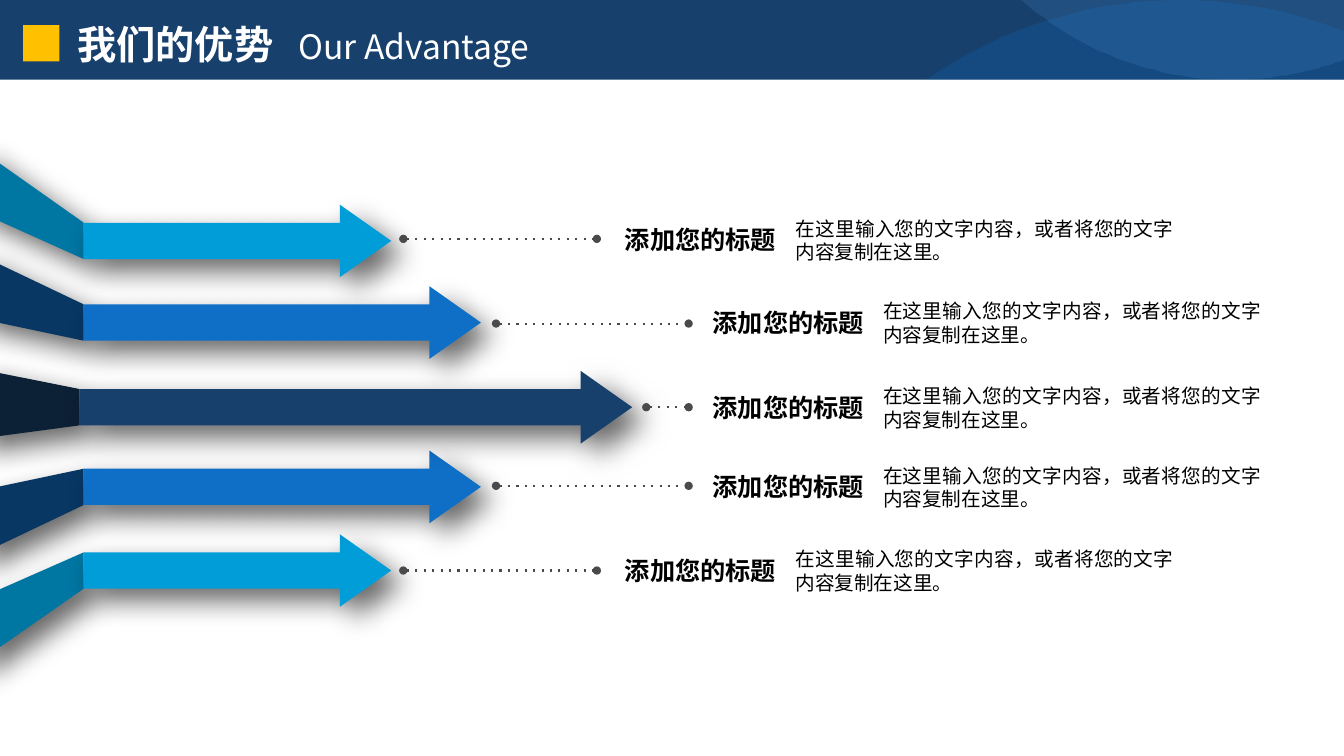
from dataclasses import dataclass

from lxml import etree
from pptx import Presentation
from pptx.dml.color import RGBColor
from pptx.enum.shapes import MSO_CONNECTOR, MSO_SHAPE
from pptx.enum.text import MSO_AUTO_SIZE, PP_ALIGN
from pptx.oxml.ns import qn
from pptx.shapes.autoshape import Shape
from pptx.shapes.shapetree import SlideShapes
from pptx.text.text import TextFrame
from pptx.util import Pt

PX = 9144
RECTANGLE = MSO_SHAPE.RECTANGLE
STRAIGHT = MSO_CONNECTOR.STRAIGHT
GROW = MSO_AUTO_SIZE.SHAPE_TO_FIT_TEXT
JUSTIFY = PP_ALIGN.JUSTIFY

Point = tuple[float, float]


@dataclass(frozen=True)
class Theme:
    font: str = "Noto Sans CJK SC"
    navy: str = "17406D"
    navy_fold: str = "0C2036"
    blue: str = "0F6FC6"
    blue_fold: str = "083763"
    cyan: str = "009DD9"
    cyan_fold: str = "0076A3"
    light_blue: str = "59AAF2"
    amber: str = "FFC000"
    dots: str = "4A4A4A"
    white: str = "FFFFFF"
    black: str = "000000"
    title_size: int = 28
    subtitle_size: int = 24
    heading_size: int = 18
    body_size: int = 14
    heading_line: float = 21.6
    body_line: float = 16.8


THEME = Theme()


@dataclass(frozen=True)
class Advantage:
    edge_top: int
    edge_bottom: int
    bend: int
    axis: int
    tip: int
    dots_start: int
    dots_end: int
    dots_y: int
    heading_left: int
    heading_top: int
    color: str
    fold_color: str
    heading: str = "添加您的标题"
    body: str = "在这里输入您的文字内容，或者将您的文字内容复制在这里。"


@dataclass(frozen=True)
class Words:
    text: str
    size: int
    color: str
    bold: bool = False


ADVANTAGES = (
    Advantage(144, 208, 83, 239, 388, 400, 592, 237, 610, 218, THEME.cyan, THEME.cyan_fold),
    Advantage(250, 315, 83, 320, 477, 492, 683, 321, 697, 300, THEME.blue, THEME.blue_fold),
    Advantage(596, 660, 83, 566, 388, 400, 592, 566, 610, 546, THEME.cyan, THEME.cyan_fold),
    Advantage(488, 553, 83, 483, 477, 492, 683, 482, 697, 463, THEME.blue, THEME.blue_fold),
    Advantage(365, 436, 79, 404, 627, 641, 683, 404, 697, 384, THEME.navy, THEME.navy_fold),
)


def paint(shape: Shape, color: str, opacity: int = 100) -> None:
    shape.fill.solid()
    shape.fill.fore_color.rgb = RGBColor.from_string(color)
    shape.line.fill.background()
    shape.shadow.inherit = False
    if opacity < 100:
        tint = shape._element.spPr.find(f"{qn('a:solidFill')}/{qn('a:srgbClr')}")
        etree.SubElement(tint, qn("a:alpha"), val=str(opacity * 1000))


def add_block(shapes: SlideShapes, left: int, top: int, width: int, height: int, color: str) -> None:
    block = shapes.add_shape(RECTANGLE, left * PX, top * PX, width * PX, height * PX)
    paint(block, color)


def add_outline(shapes: SlideShapes, points: list[Point], color: str, opacity: int = 100) -> Shape:
    builder = shapes.build_freeform(*points[0], scale=PX)
    builder.add_line_segments(points[1:], close=True)
    outline = builder.convert_to_shape()
    paint(outline, color, opacity)
    return outline


def curve(start: Point, pull: Point, push: Point, end: Point, steps: int = 24) -> list[Point]:
    return [
        tuple(
            a * (1 - t) ** 3 + 3 * b * t * (1 - t) ** 2 + 3 * c * t**2 * (1 - t) + d * t**3
            for a, b, c, d in zip(start, pull, push, end)
        )
        for t in (step / steps for step in range(steps + 1))
    ]


def cast_shadow(shape: Shape) -> None:
    effects = shape._element.spPr.find(qn("a:effectLst"))
    shadow = etree.SubElement(
        effects, qn("a:outerShdw"), blurRad=str(Pt(20)), dist=str(Pt(12)),
        dir="2700000", algn="tl", rotWithShape="0",
    )
    tint = etree.SubElement(shadow, qn("a:srgbClr"), val=THEME.black)
    etree.SubElement(tint, qn("a:alpha"), val="60000")


def add_text_frame(shapes: SlideShapes, left: int, top: int, width: int, height: int) -> TextFrame:
    frame = shapes.add_textbox(left * PX, top * PX, width * PX, height * PX).text_frame
    frame.word_wrap = True
    frame.auto_size = GROW
    return frame


def add_words(frame: TextFrame, words: Words) -> None:
    run = frame.paragraphs[0].add_run()
    run.text = words.text
    run.font.size = Pt(words.size)
    run.font.bold = words.bold
    run.font.color.rgb = RGBColor.from_string(words.color)
    run.font.name = THEME.font
    etree.SubElement(run.font._element, qn("a:ea"), typeface=THEME.font)


def add_header(shapes: SlideShapes) -> None:
    add_block(shapes, 0, 0, 1333, 79, THEME.navy)
    rising = curve((919, 79), (991, 29), (1078, 0), (1171, 0))
    falling = curve((1171, 0), (1228, 0), (1283, 11), (1333, 31))
    add_outline(shapes, [*rising, *falling[1:], (1333, 79)], THEME.blue, 23)
    right_bowl = curve((1333, 59), (1299, 72), (1261, 79), (1222, 79))
    left_bowl = curve((1222, 79), (1142, 79), (1069, 49), (1013, 0))
    add_outline(shapes, [(1333, 0), *right_bowl, *left_bowl[1:]], THEME.light_blue, 15)
    title = add_text_frame(shapes, 67, 15, 727, 57)
    tabs = etree.SubElement(title.paragraphs[0]._p.get_or_add_pPr(), qn("a:tabLst"))
    etree.SubElement(tabs, qn("a:tab"), pos=str(219 * PX), algn="l")
    add_words(title, Words("我们的优势\t", THEME.title_size, THEME.white, True))
    add_words(title, Words("Our Advantage", THEME.subtitle_size, THEME.white))
    add_block(shapes, 23, 25, 36, 36, THEME.amber)


def add_arrow(shapes: SlideShapes, item: Advantage) -> None:
    edge, shaft, head, neck = -26, 18, 36, item.tip - 51
    top, bottom = item.axis - shaft, item.axis + shaft
    fold = [(edge, item.edge_top), (edge, item.edge_bottom), (item.bend, bottom), (item.bend, top)]
    arrow = [
        (neck, item.axis - head), (item.tip, item.axis), (neck, item.axis + head),
        (neck, bottom), (item.bend, bottom), (item.bend, top), (neck, top),
    ]
    cast_shadow(add_outline(shapes, fold, item.fold_color))
    cast_shadow(add_outline(shapes, arrow, item.color))


def add_dots(shapes: SlideShapes, item: Advantage) -> None:
    y = item.dots_y * PX
    dots = shapes.add_connector(STRAIGHT, item.dots_start * PX, y, item.dots_end * PX, y)
    dots.line.color.rgb = RGBColor.from_string(THEME.dots)
    dots.line.width = Pt(1.5)
    stroke = dots.line._get_or_add_ln()
    etree.SubElement(stroke, qn("a:prstDash"), val="dot")
    for end in ("a:headEnd", "a:tailEnd"):
        etree.SubElement(stroke, qn(end), type="oval")
    etree.SubElement(dots._element.spPr, qn("a:effectLst"))


def add_caption(shapes: SlideShapes, item: Advantage) -> None:
    body = add_text_frame(shapes, item.heading_left + 169, item.heading_top - 8, 395, 57)
    heading = add_text_frame(shapes, item.heading_left, item.heading_top, 244, 40)
    add_words(body, Words(item.body, THEME.body_size, THEME.black))
    add_words(heading, Words(item.heading, THEME.heading_size, THEME.black, True))
    for frame, pitch in ((body, THEME.body_line), (heading, THEME.heading_line)):
        frame.paragraphs[0].alignment = JUSTIFY
        frame.paragraphs[0].line_spacing = Pt(pitch)


def main() -> None:
    deck = Presentation()
    deck.slide_width, deck.slide_height = 1333 * PX, 750 * PX
    shapes = deck.slides.add_slide(deck.slide_layouts[6]).shapes
    add_header(shapes)
    for draw in (add_arrow, add_dots, add_caption):
        for item in ADVANTAGES:
            draw(shapes, item)
    deck.save("out.pptx")


if __name__ == "__main__":
    main()
